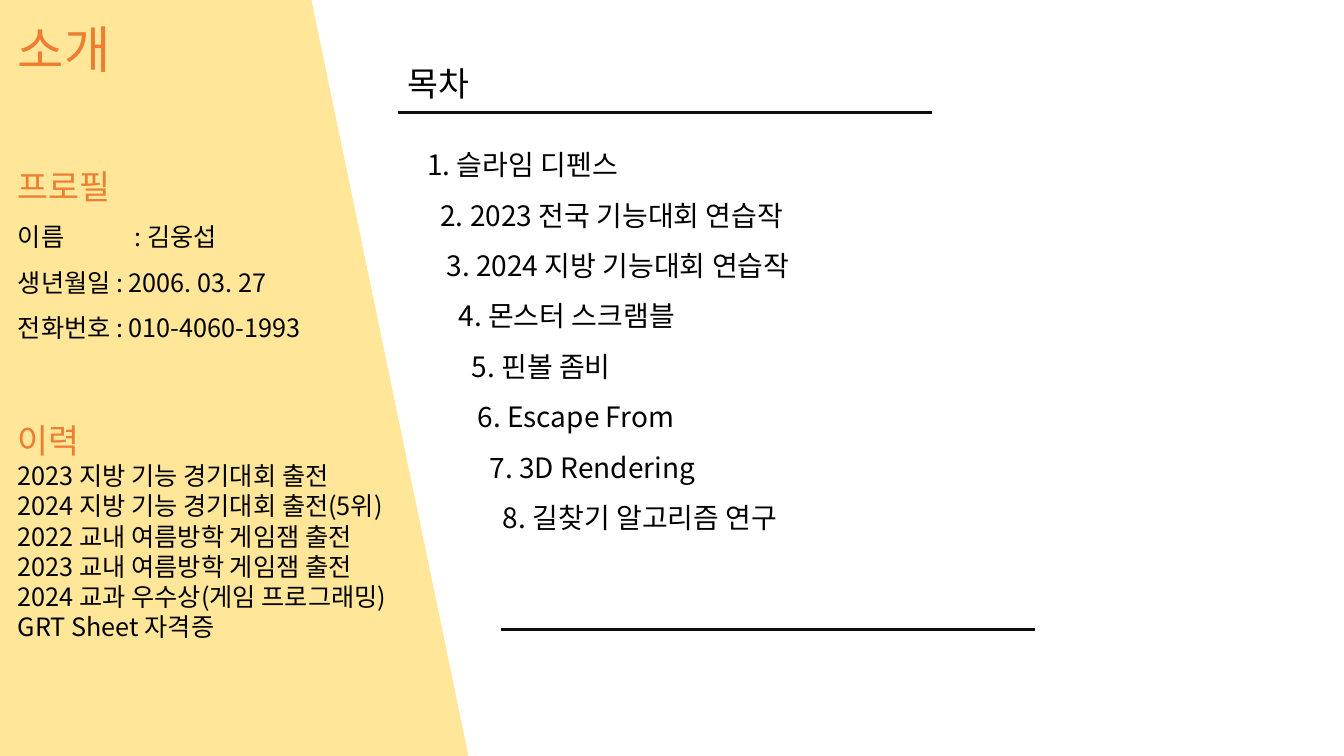
from pptx import Presentation
from pptx import util as u
from pptx.dml.color import RGBColor
from pptx.enum import shapes, text
from pptx.oxml.ns import qn
from lxml import etree

# Content
FONT = "Noto Sans CJK KR"
ORANGE, BLACK, CREAM, RULE, WHITE = "ED7D31", "000000", "FFE699", "0D0D0D", "FFFFFF"

TITLE = "소개"
PROFILE_HEADING = "프로필"
PROFILE = ["이름\t: 김웅섭", "생년월일 : 2006. 03. 27", "전화번호 : 010-4060-1993"]
NAME_TAB = 1.16
CAREER_HEADING = "이력"
CAREER = [
    "2023 지방 기능 경기대회 출전",
    "2024 지방 기능 경기대회 출전(5위)",
    "2022 교내 여름방학 게임잼 출전",
    "2023 교내 여름방학 게임잼 출전",
    "2024 교과 우수상(게임 프로그래밍)",
    "GRT Sheet 자격증",
]
CONTENTS_HEADING = "목차"
CONTENTS = [  # entry, left indent following the slanted panel
    ("슬라임 디펜스", 0.06),
    ("2023 전국 기능대회 연습작", 0.19),
    ("2024 지방 기능대회 연습작", 0.25),
    ("몬스터 스크램블", 0.37),
    ("핀볼 좀비", 0.5),
    ("Escape From", 0.56),
    ("3D Rendering", 0.68),
    ("길찾기 알고리즘 연구", 0.81),
]
RULES = [(3.94, 1.09), (4.96, 6.22)]


def colour(value):
    return RGBColor.from_string(value)


def add_block(page, kind, place, fill, line):
    block = page.shapes.add_shape(kind, *map(u.Inches, place))
    block.shadow.inherit = False
    block.fill.solid()
    block.fill.fore_color.rgb = colour(fill)
    block.line.color.rgb = colour(line)
    block.line.width = u.Pt(1)
    return block


def add_text(page, place, lines, wrap=True):
    """Each line: wording, size, colour, line spacing, indent, tab stop."""
    box = page.shapes.add_textbox(*map(u.Inches, place))
    frame = box.text_frame
    frame.word_wrap = wrap
    frame.auto_size = text.MSO_AUTO_SIZE.SHAPE_TO_FIT_TEXT
    for number, (wording, size, ink, spacing, indent, tab) in enumerate(lines):
        para = frame.add_paragraph() if number else frame.paragraphs[0]
        para.line_spacing = spacing
        props = para._p.get_or_add_pPr()
        if indent:
            props.set("marL", str(u.Inches(indent)))
        if tab:
            stops = etree.SubElement(props, qn("a:tabLst"))
            etree.SubElement(stops, qn("a:tab"), pos=str(u.Inches(tab)), algn="l")
        span = para.add_run()
        span.text = wording
        span.font.size = u.Pt(size)
        span.font.name = FONT
        span.font.color.rgb = colour(ink)
        etree.SubElement(span.font._element, qn("a:ea"), typeface=FONT)


def main():
    deck = Presentation()
    deck.slide_width, deck.slide_height = u.Inches(13.33), u.Inches(7.5)
    page = deck.slides.add_slide(deck.slide_layouts[6])

    # Slanted side panel
    panel = add_block(page, shapes.MSO_SHAPE.PARALLELOGRAM,
                      (-1.59, 0, 6.23, 7.5), CREAM, CREAM)
    panel.element.spPr.get_or_add_xfrm().set("flipH", "1")

    # Introduction
    add_text(page, (0.08, 0.13, 1.13, 0.71),
             [(TITLE, 36, ORANGE, 1.0, 0, 0)], wrap=False)
    add_text(page, (0.08, 1.6, 3.44, 1.82),
             [(PROFILE_HEADING, 24, ORANGE, 1.0, 0, 0)]
             + [(entry, 18, BLACK, 1.5, 0, NAME_TAB if "\t" in entry else 0)
                for entry in PROFILE])
    add_text(page, (0.08, 3.92, 3.86, 2.83),
             [(CAREER_HEADING, 24, ORANGE, 1.5, 0, 0)]
             + [(entry, 18, BLACK, 1.0, 0, 0) for entry in CAREER])

    # Contents between two rules
    for left, top in RULES:
        add_block(page, shapes.MSO_SHAPE.RECTANGLE, (left, top, 5.31, 0.05), RULE, WHITE)
    add_text(page, (3.94, 0.58, 0.82, 0.5),
             [(CONTENTS_HEADING, 24, BLACK, 1.0, 0, 0)], wrap=False)
    add_text(page, (4.08, 1.25, 4, 4.48),
             [(f"{number}. {entry}", 20, BLACK, 1.5, indent, 0)
              for number, (entry, indent) in enumerate(CONTENTS, 1)])

    deck.save("out.pptx")


if __name__ == "__main__":
    main()
